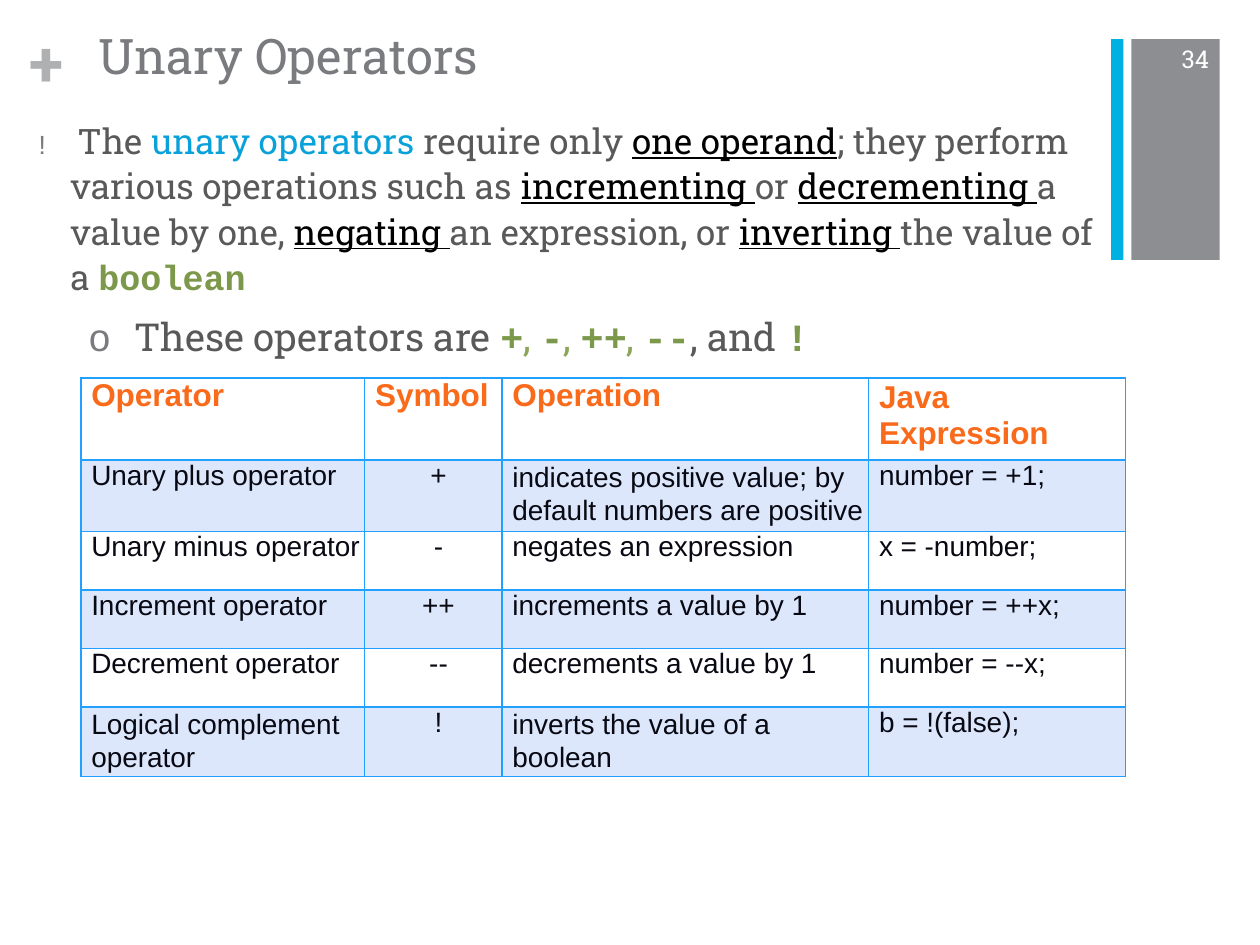
from pptx import Presentation
from pptx.dml.color import RGBColor
from pptx.enum.shapes import MSO_SHAPE as Shape
from pptx.enum.text import PP_ALIGN as Align
from pptx.oxml.ns import qn
from pptx.util import Cm, Pt
from lxml.etree import SubElement

GREY_BAR = RGBColor(0x8C, 0x8E, 0x91)
GREY_PLUS = RGBColor(0xAF, 0xB0, 0xB2)
GREY_TITLE = RGBColor(0x79, 0x7B, 0x7E)
GREY_TEXT = RGBColor(0x59, 0x59, 0x59)
CYAN = RGBColor(0x00, 0xB1, 0xE1)
BLUE = RGBColor(0x08, 0xA1, 0xD9)
GREEN = RGBColor(0x7C, 0x98, 0x4A)
LIGHT_GREEN = RGBColor(0x8E, 0xA6, 0x5C)
ORANGE = RGBColor(0xF9, 0x6A, 0x1B)
INK = RGBColor(0x08, 0x09, 0x12)
BLACK = RGBColor(0x00, 0x00, 0x00)
WHITE = RGBColor(0xFF, 0xFF, 0xFF)
BAND = RGBColor(0xDD, 0xE7, 0xFC)
BORDER = RGBColor(0x21, 0xA0, 0xFF)

SERIF, SANS, CODE = "Roboto Slab", "Arial", "Courier New"

# Run styles: font, colour, bold, underlined
PLAIN = (SERIF, GREY_TEXT, False, False)
TERM = (SERIF, BLUE, False, False)
KEY = (SERIF, BLACK, False, True)
SYMBOL = (CODE, GREEN, True, False)
COMMA = (SERIF, LIGHT_GREEN, False, False)
MARK = (SANS, GREY_TITLE, False, False)
ROUND_MARK = (CODE, GREY_TITLE, False, False)


class SlideWriter:
    def __init__(self, page):
        self.page = page

    def bar(self, left, width, color):
        bar = self.page.shapes.add_shape(
            Shape.RECTANGLE, Cm(left), Cm(0.79), Cm(width), Cm(4.45))
        bar.shadow.inherit = False
        bar.fill.solid()
        bar.fill.fore_color.rgb = color
        bar.line.fill.background()

    def box(self, left, top, width, height):
        frame = self.page.shapes.add_textbox(
            Cm(left), Cm(top), Cm(width), Cm(height)).text_frame
        frame.word_wrap = True
        frame.margin_left = frame.margin_right = 0
        frame.margin_top = frame.margin_bottom = 0
        return frame

    def label(self, place, text, size, color, bold=False, spacing=None):
        frame = self.box(*place)
        frame.text = text
        para = frame.paragraphs[0]
        para.line_spacing = spacing
        self.style(para.runs[0], size, (SERIF, color, bold, False))
        return frame

    def style(self, span, size, look):
        font = span.font
        font.size = Pt(size)
        font.name, font.color.rgb, font.bold, font.underline = look

    def indent(self, para, left, first=0):
        props = para._p.get_or_add_pPr()
        props.set("marL", str(Cm(left)))
        props.set("indent", str(Cm(first)))

    def spans(self, para, size, parts):
        for text, look in parts:
            span = para.add_run()
            span.text = text
            self.style(span, size, look)

    def table(self, left, top, widths, heights, rows):
        table = self.page.shapes.add_table(
            len(rows), len(widths), Cm(left), Cm(top),
            Cm(sum(widths)), Cm(sum(heights))).table
        for column, width in zip(table.columns, widths):
            column.width = Cm(width)
        for r, (height, texts) in enumerate(zip(heights, rows)):
            table.rows[r].height = Cm(height)
            for c, text in enumerate(texts):
                self.cell(table.cell(r, c), text, r, c)

    def cell(self, cell, text, row, column):
        header = row == 0
        cell.margin_left = Cm(0.21)
        cell.margin_right = cell.margin_top = cell.margin_bottom = 0
        cell.text_frame.text = text
        para = cell.text_frame.paragraphs[0]
        para.alignment = Align.CENTER if column == 1 and not header else Align.LEFT
        if text in TWO_LINES:
            para.line_spacing = Pt(21 if header else 19)
        look = (SANS, ORANGE if header else INK, header, False)
        self.style(para.runs[0], 18 if header else 16, look)
        # Borders come before the fill in the cell properties
        props = cell._tc.get_or_add_tcPr()
        for side in ("lnL", "lnR", "lnT", "lnB"):
            line = SubElement(props, qn("a:" + side), w=str(Pt(1)))
            fill = SubElement(line, qn("a:solidFill"))
            SubElement(fill, qn("a:srgbClr"), val=str(BORDER))
        if row % 2:
            cell.fill.solid()
            cell.fill.fore_color.rgb = BAND
        else:
            cell.fill.background()


INTRO = [
    ("The ", PLAIN), ("unary operators ", TERM), ("require only ", PLAIN),
    ("one operand", KEY), ("; they perform various operations such as ", PLAIN),
    ("incrementing ", KEY), ("or ", PLAIN), ("decrementing ", KEY),
    ("a value by one, ", PLAIN), ("negating ", KEY),
    ("an expression, or ", PLAIN), ("inverting ", KEY),
    ("the value of a ", PLAIN), ("boolean", SYMBOL),
]
OPERATORS = [
    ("o ", ROUND_MARK), ("These operators are ", PLAIN),
    ("+", SYMBOL), (", ", COMMA), ("-", SYMBOL), (", ", COMMA),
    ("++", SYMBOL), (", ", COMMA), ("--", SYMBOL),
    (", and ", PLAIN), ("!", SYMBOL),
]
ROWS = [
    ("Operator", "Symbol", "Operation", "Java Expression"),
    ("Unary plus operator", "+",
     "indicates positive value; by default numbers are positive", "number = +1;"),
    ("Unary minus operator", "-", "negates an expression", "x = -number;"),
    ("Increment operator", "++", "increments a value by 1", "number = ++x;"),
    ("Decrement operator", "--", "decrements a value by 1", "number = --x;"),
    ("Logical complement operator", "!",
     "inverts the value of a boolean", "b = !(false);"),
]
TWO_LINES = {ROWS[0][3], ROWS[1][2], ROWS[5][0], ROWS[5][2]}


def main():
    deck = Presentation()
    deck.slide_width, deck.slide_height = Cm(25.4), Cm(19.05)
    page = deck.slides.add_slide(deck.slide_layouts[6])
    writer = SlideWriter(page)

    # Corner bars and plus sign
    writer.bar(22.81, 1.78, GREY_BAR)
    writer.label((0.6, 0.64, 0.91, 1.37), "+", 36, GREY_PLUS, True, Pt(38.5))
    writer.bar(22.4, 0.25, CYAN)

    # Title
    title = writer.label((0.61, -0.38, 24.23, 2.57), "Unary Operators", 28,
                         GREY_TITLE, spacing=Pt(28.9))
    title.margin_top = Cm(1.09)
    writer.indent(title.paragraphs[0], 1.37)

    # Body text
    body = writer.box(0.76, 2.34, 21.4, 4.95)
    intro = body.paragraphs[0]
    writer.indent(intro, 0.66, -0.64)
    intro.line_spacing = 1.08
    writer.spans(intro, 15, [("! ", MARK)])
    intro.runs[0]._r.get_or_add_rPr().set("spc", "700")
    writer.spans(intro, 20, INTRO)
    operators = body.add_paragraph()
    writer.indent(operators, 1.02)
    operators.space_before = Pt(9.2)
    writer.spans(operators, 22, OPERATORS)

    # Operator table
    writer.table(1.63, 7.62, (5.72, 2.77, 7.39, 5.18),
                 (1.65, 1.44, 1.18, 1.18, 1.18, 1.4), ROWS)

    # Page number
    writer.label((23.82, 0.89, 0.64, 0.61), "34", 14, WHITE)

    deck.save("out.pptx")


if __name__ == "__main__":
    main()
